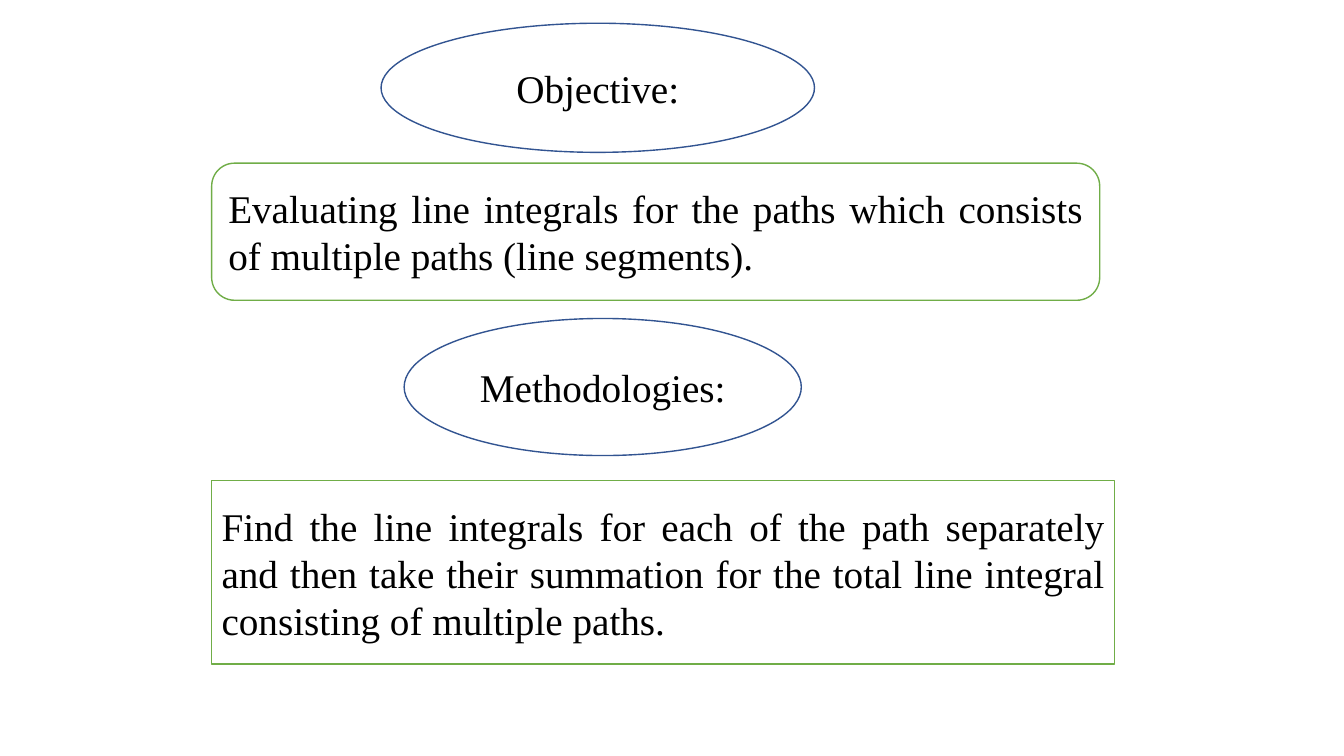
import pptx
import pptx.dml.color
import pptx.enum.shapes
import pptx.enum.text
import pptx.util

FONT = "Times New Roman"
BLACK = "000000"
BLUE = "325491"
GREEN = "70AD47"
SHAPES = pptx.enum.shapes.MSO_SHAPE
ALIGN = pptx.enum.text.PP_ALIGN


def color(hex_value):
    """Turn a hex string into a colour."""
    return pptx.dml.color.RGBColor.from_string(hex_value)


def write_text(shape, text, size=28, font=FONT, text_color=BLACK, align=ALIGN.CENTER):
    """Write formatted, vertically centred text into a shape."""
    frame = shape.text_frame
    frame.word_wrap = True
    frame.vertical_anchor = pptx.enum.text.MSO_ANCHOR.MIDDLE
    paragraph = frame.paragraphs[0]
    paragraph.alignment = align
    run = paragraph.add_run()
    run.text = text
    run.font.size = pptx.util.Pt(size)
    run.font.name = font
    run.font.color.rgb = color(text_color)


def add_outline(slide, kind, box, line_color):
    """Draw an unfilled, outlined shape in a box given in points."""
    shape = slide.shapes.add_shape(kind, *map(pptx.util.Pt, box))
    shape.shadow.inherit = False
    shape.fill.background()
    shape.line.color.rgb = color(line_color)
    shape.line.width = pptx.util.Pt(1)
    return shape


def add_heading(slide, box, text):
    """Place a section heading in a blue ellipse."""
    write_text(add_outline(slide, SHAPES.OVAL, box, BLUE), text)


def add_statement(slide, box, text, kind):
    """Place a justified statement in a green frame."""
    write_text(add_outline(slide, kind, box, GREEN), text, align=ALIGN.JUSTIFY)


def main():
    """Build the slide and save it."""
    presentation = pptx.Presentation()
    presentation.slide_width = pptx.util.Pt(960)
    presentation.slide_height = pptx.util.Pt(540)
    slide = presentation.slides.add_slide(presentation.slide_layouts[6])

    add_heading(slide, (272.2, 16.6, 309.6, 92.2), "Objective:")
    add_statement(
        slide, (151.2, 116.6, 634.3, 97.9),
        "Evaluating line integrals for the paths which consists of multiple "
        "paths (line segments).",
        SHAPES.ROUNDED_RECTANGLE,
    )
    add_heading(slide, (288.7, 227.5, 283.7, 97.9), "Methodologies:")
    add_statement(
        slide, (151.2, 343.4, 645.1, 131),
        "Find the line integrals for each of the path separately and then take "
        "their summation for the total line integral consisting of multiple paths.",
        SHAPES.RECTANGLE,
    )
    presentation.save("out.pptx")


if __name__ == "__main__":
    main()
